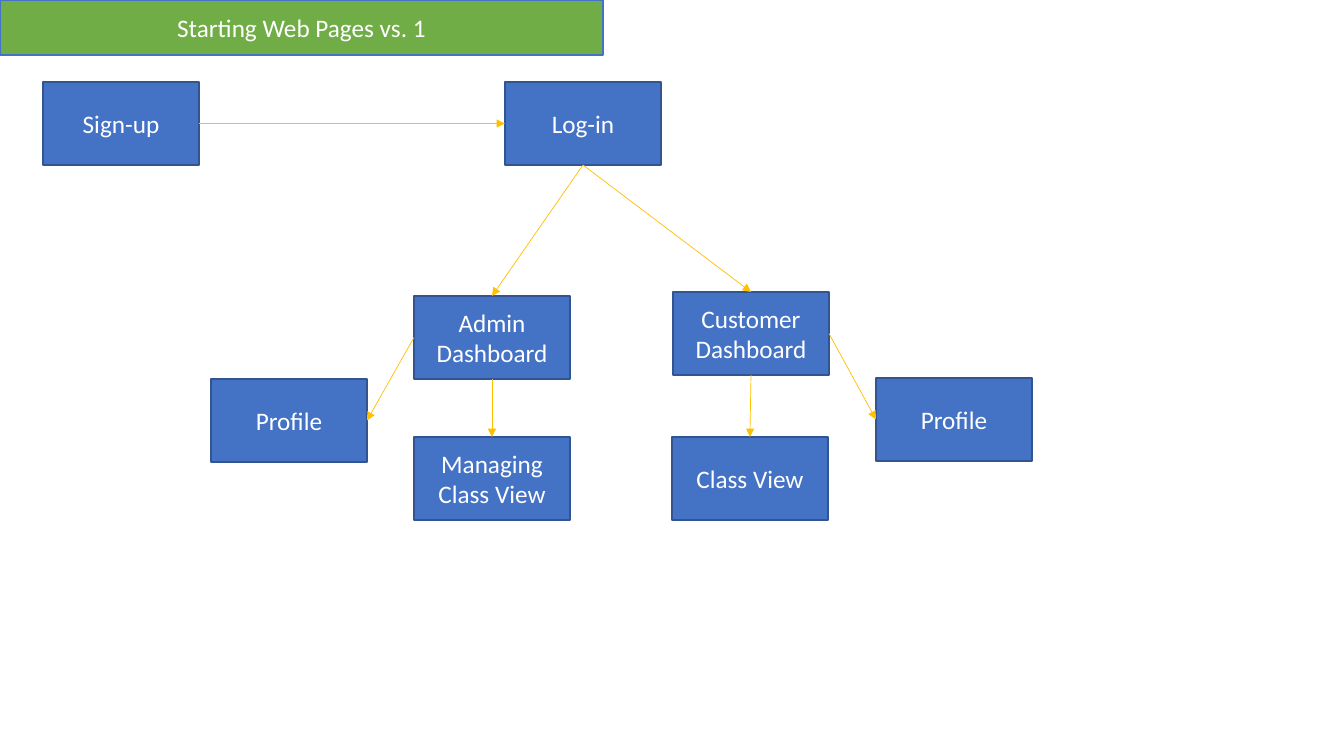
from lxml import etree
from pptx import Presentation
from pptx.dml.color import RGBColor
from pptx.enum.shapes import MSO_CONNECTOR, MSO_SHAPE
from pptx.enum.text import MSO_ANCHOR, MSO_AUTO_SIZE, PP_ALIGN
from pptx.oxml.ns import qn
from pptx.util import Emu, Pt

RECTANGLE = MSO_SHAPE.RECTANGLE
STRAIGHT = MSO_CONNECTOR.STRAIGHT
MIDDLE = MSO_ANCHOR.MIDDLE
CENTER = PP_ALIGN.CENTER
NO_AUTOFIT = MSO_AUTO_SIZE.NONE

BLUE = RGBColor(0x44, 0x72, 0xC4)
DARK_BLUE = RGBColor(0x32, 0x54, 0x91)
GREEN = RGBColor(0x70, 0xAD, 0x47)
GOLD = RGBColor(0xFF, 0xC0, 0x00)
WHITE = RGBColor(0xFF, 0xFF, 0xFF)

SLIDE_SIZE = (1344, 756)
TITLE = "Starting Web Pages vs. 1"
TITLE_FRAME = (0, 0, 603, 55)
PAGE_SIZE = (156, 83)
TOP, LEFT, BOTTOM, RIGHT = range(4)

# key: (label, left, top)
PAGES = {
    "sign-up": ("Sign-up", 43, 82),
    "log-in": ("Log-in", 505, 82),
    "admin": ("Admin Dashboard", 414, 296),
    "customer": ("Customer Dashboard", 673, 292),
    "admin profile": ("Profile", 211, 379),
    "customer profile": ("Profile", 876, 378),
    "managing": ("Managing Class View", 414, 437),
    "class view": ("Class View", 672, 437),
}
# (from page, side, to page, side)
LINKS = [
    ("sign-up", RIGHT, "log-in", LEFT),
    ("log-in", BOTTOM, "admin", TOP),
    ("log-in", BOTTOM, "customer", TOP),
    ("admin", LEFT, "admin profile", RIGHT),
    ("admin", BOTTOM, "managing", TOP),
    ("customer", RIGHT, "customer profile", LEFT),
    ("customer", BOTTOM, "class view", TOP),
]


def px(length):
    return Emu(round(length * 914400 / 100.8))


def format_box(shape, text, fill, outline):
    shape.fill.solid()
    shape.fill.fore_color.rgb = fill
    shape.line.color.rgb = outline
    shape.line.width = Pt(1)
    frame = shape.text_frame
    frame.text = text
    frame.word_wrap = True
    frame.auto_size = NO_AUTOFIT
    frame.vertical_anchor = MIDDLE
    paragraph = frame.paragraphs[0]
    paragraph.alignment = CENTER
    paragraph.font.name = "Calibri"
    paragraph.font.size = Pt(18)
    paragraph.font.color.rgb = WHITE


def add_title(slide):
    title = slide.shapes.title
    title.left, title.top, title.width, title.height = map(px, TITLE_FRAME)
    format_box(title, TITLE, GREEN, BLUE)


def add_page(slide, label, left, top):
    page = slide.shapes.add_shape(RECTANGLE, *map(px, (left, top, *PAGE_SIZE)))
    page.shadow.inherit = False
    format_box(page, label, BLUE, DARK_BLUE)
    return page


def add_arrow(slide, source, source_side, target, target_side):
    arrow = slide.shapes.add_connector(STRAIGHT, 0, 0, 0, 0)
    arrow.begin_connect(source, source_side)
    arrow.end_connect(target, target_side)
    arrow.line.color.rgb = GOLD
    arrow.line.width = Pt(0.5)
    etree.SubElement(arrow.line._get_or_add_ln(), qn("a:tailEnd"), type="triangle")
    etree.SubElement(arrow._element.spPr, qn("a:effectLst"))


def main():
    presentation = Presentation()
    presentation.slide_width, presentation.slide_height = map(px, SLIDE_SIZE)
    slide = presentation.slides.add_slide(presentation.slide_layouts[5])
    add_title(slide)
    pages = {key: add_page(slide, *page) for key, page in PAGES.items()}
    for source, source_side, target, target_side in LINKS:
        add_arrow(slide, pages[source], source_side, pages[target], target_side)
    presentation.save("out.pptx")


if __name__ == "__main__":
    main()
